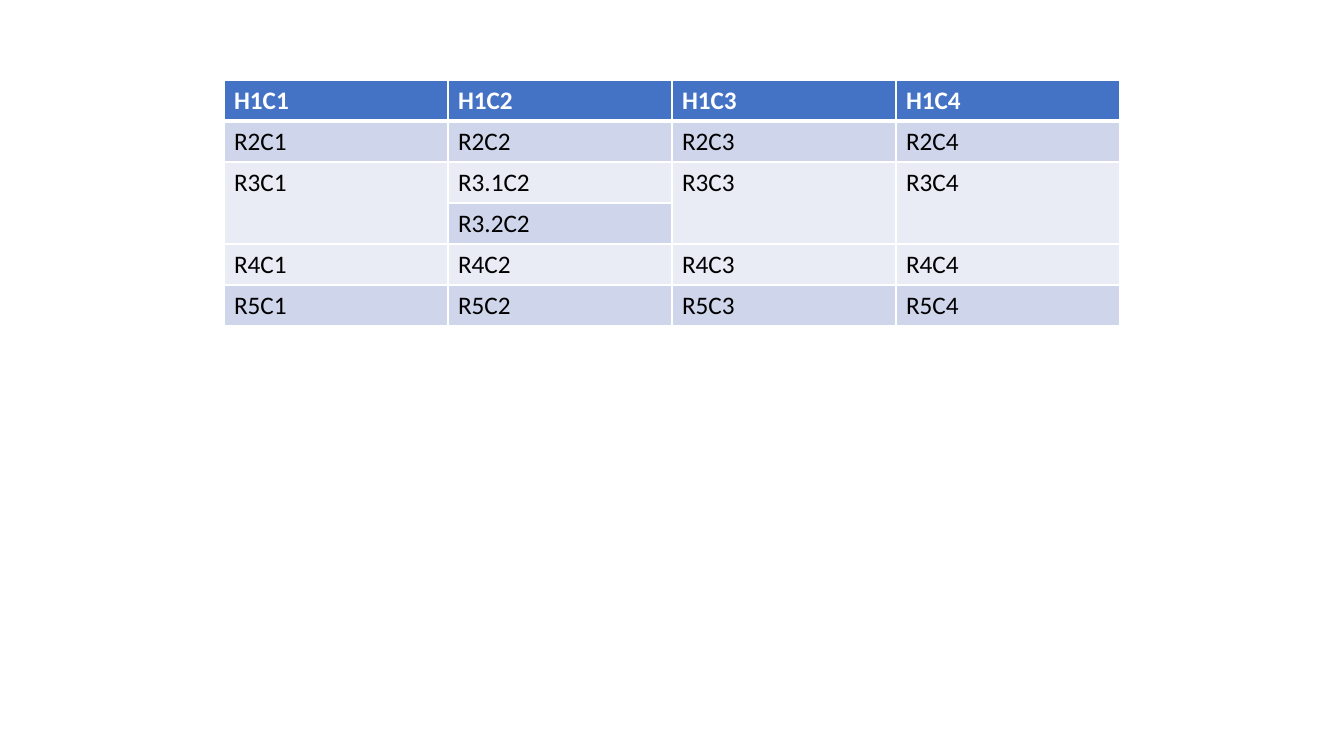
import pptx
import pptx.dml.color
import pptx.oxml
import pptx.oxml.ns
import pptx.util

PX = 914400 / 100.8
WHITE = pptx.dml.color.RGBColor(0xFF, 0xFF, 0xFF)
BLACK = pptx.dml.color.RGBColor(0x00, 0x00, 0x00)
BLUE = pptx.dml.color.RGBColor(0x44, 0x72, 0xC4)
BAND_DARK = pptx.dml.color.RGBColor(0xCF, 0xD5, 0xEA)
BAND_LIGHT = pptx.dml.color.RGBColor(0xE9, 0xEB, 0xF5)

ROWS = [
    ["H1C1", "H1C2", "H1C3", "H1C4"],
    ["R2C1", "R2C2", "R2C3", "R2C4"],
    ["R3C1", "R3.1C2", "R3C3", "R3C4"],
    ["", "R3.2C2", "", ""],
    ["R4C1", "R4C2", "R4C3", "R4C4"],
    ["R5C1", "R5C2", "R5C3", "R5C4"],
]
ROW_FILLS = [BLUE, BAND_DARK, BAND_LIGHT, BAND_DARK, BAND_LIGHT, BAND_DARK]
SPLIT_ROW = 2
MERGED_COLS = (0, 2, 3)


def px(n):
    """Turn a length in px into EMU."""
    return pptx.util.Emu(round(n * PX))


def set_borders(cell, widths):
    """Draw white cell borders, with widths in points by side."""
    tcPr = cell._tc.get_or_add_tcPr()
    for side, width in widths.items():
        tcPr.append(pptx.oxml.parse_xml(
            f'<a:ln{side} {pptx.oxml.ns.nsdecls("a")} w="{pptx.util.Pt(width)}">'
            f'<a:solidFill><a:srgbClr val="{WHITE}"/></a:solidFill></a:ln{side}>'))


def format_cell(cell, text, fill, row):
    """Give a cell its borders, fill and text."""
    set_borders(cell, {"L": 1, "R": 1, "T": 3 if row == 1 else 1, "B": 3 if row == 0 else 1})
    cell.fill.solid()
    cell.fill.fore_color.rgb = fill
    if not text:
        return
    r = cell.text_frame.paragraphs[0].add_run()
    r.text = text
    for name, value in {"name": "Calibri", "size": pptx.util.Pt(18), "bold": row == 0}.items():
        setattr(r.font, name, value)
    r.font.color.rgb = WHITE if row == 0 else BLACK


def add_grid(slide, left, top, width, row_height):
    """Place the table, with one row split in its second column."""
    frame = slide.shapes.add_table(len(ROWS), len(ROWS[0]), px(left), px(top),
                                   px(width), px(row_height * len(ROWS)))
    table = frame.table
    for row, texts in enumerate(ROWS):
        table.rows[row].height = px(row_height)
        for col, text in enumerate(texts):
            merged = row == SPLIT_ROW + 1 and col in MERGED_COLS
            fill = ROW_FILLS[SPLIT_ROW if merged else row]
            format_cell(table.cell(row, col), text, fill, row)
    for col in MERGED_COLS:
        table.cell(SPLIT_ROW, col).merge(table.cell(SPLIT_ROW + 1, col))


def main():
    """Build the slide and save it."""
    prs = pptx.Presentation()
    prs.slide_width, prs.slide_height = px(1344), px(756)
    slide = prs.slides.add_slide(prs.slide_layouts[6])
    add_grid(slide, 224, 80, 896, 41)
    prs.save("out.pptx")


if __name__ == "__main__":
    main()
